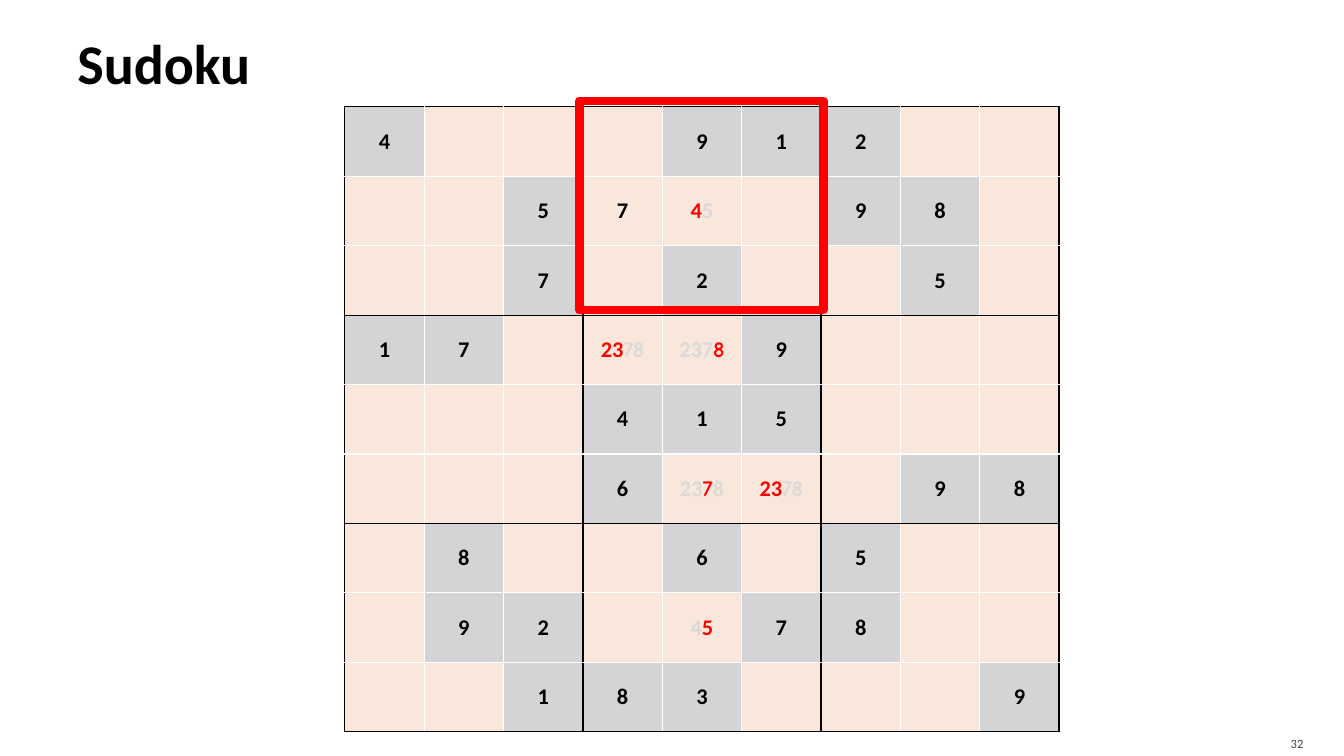
from dataclasses import dataclass

from lxml import etree
from pptx import Presentation
from pptx import util as u
from pptx.dml.color import RGBColor
from pptx.enum import shapes, text
from pptx.oxml.ns import qn

TITLE = "Sudoku"
PAGE_NUMBER = "32"

# Given digits, one line per row; a dot is an open cell.
GIVENS = [
    "4...912..",
    "..5...98.",
    "..7.2..5.",
    "17...9...",
    "...415...",
    "...6...98",
    ".8..6.5..",
    ".92..78..",
    "..183...9",
]

# Open cells by (row, column): runs of (digits, style in Theme.digits).
CANDIDATES = {
    (1, 3): [("7", "fixed")],
    (1, 4): [("4", "kept"), ("5", "ruled out")],
    (3, 3): [("23", "kept"), ("78", "ruled out later")],
    (3, 4): [("237", "ruled out"), ("8", "kept later")],
    (5, 4): [("23", "ruled out"), ("7", "kept later"), ("8", "ruled out later")],
    (5, 5): [("23", "kept"), ("78", "ruled out later")],
    (7, 4): [("4", "ruled out"), ("5", "kept")],
}


@dataclass(frozen=True)
class Theme:
    font = "Calibri"
    alternate_font = "Comic Neue"
    ink = "000000"
    page_ink = "454545"
    given_fill = "D4D4D6"
    open_fill = "FAE7DC"
    box_line = "000000"
    cell_line = "FFFFFF"
    highlight = "FF0000"
    faded = "D9D9D9"
    title_size = 40
    digit_size = 16
    page_size = 9
    grid_width = 1
    highlight_width = 6
    digits = {
        "fixed": (font, ink),
        "kept": (font, highlight),
        "ruled out": (font, faded),
        "kept later": (alternate_font, highlight),
        "ruled out later": (alternate_font, faded),
    }


THEME = Theme()
SIZE = 9
BOX = 3
CELL_WIDTH, CELL_HEIGHT = u.Cm(2), u.Cm(1.75)
GRID_LEFT, GRID_TOP = u.Cm(8.69), u.Cm(2.69)


def add_run(paragraph, words, size, color, font=THEME.font, bold=True):
    run = paragraph.add_run()
    run.text = words
    run.font.name = font
    run.font.size = u.Pt(size)
    run.font.bold = bold
    run.font.color.rgb = RGBColor.from_string(color)


def set_borders(cell, row, column):
    """Draw dark edges around each box and light edges inside it."""
    edges = {"a:lnL": column, "a:lnR": column + 1, "a:lnT": row, "a:lnB": row + 1}
    properties = cell._tc.get_or_add_tcPr()
    for order, (tag, position) in enumerate(edges.items()):
        color = THEME.cell_line if position % BOX else THEME.box_line
        border = etree.Element(qn(tag), w=str(u.Pt(THEME.grid_width)))
        fill = etree.SubElement(border, qn("a:solidFill"))
        etree.SubElement(fill, qn("a:srgbClr"), val=color)
        properties.insert(order, border)


def fill_cell(cell, row, column):
    given = GIVENS[row][column]
    is_given = given != "."
    cell.fill.solid()
    cell.fill.fore_color.rgb = RGBColor.from_string(
        THEME.given_fill if is_given else THEME.open_fill)
    set_borders(cell, row, column)
    cell.vertical_anchor = text.MSO_ANCHOR.MIDDLE
    digits = cell.text_frame.paragraphs[0]
    digits.alignment = text.PP_ALIGN.CENTER
    runs = [(given, "fixed")] if is_given else CANDIDATES.get((row, column), [])
    for words, style in runs:
        font, color = THEME.digits[style]
        add_run(digits, words, THEME.digit_size, color, font)


def add_title(slide):
    title = slide.shapes.title
    title.left, title.top = u.Cm(1.7), u.Cm(0.2)
    title.width, title.height = u.Cm(30.48), u.Cm(2.75)
    frame = title.text_frame
    frame.vertical_anchor = text.MSO_ANCHOR.MIDDLE
    frame.margin_left = u.Cm(0.25)
    heading = frame.paragraphs[0]
    heading.alignment = text.PP_ALIGN.LEFT
    add_run(heading, TITLE, THEME.title_size, THEME.ink)


def add_grid(slide):
    grid = slide.shapes.add_table(SIZE, SIZE, GRID_LEFT, GRID_TOP,
                                  CELL_WIDTH * SIZE, CELL_HEIGHT * SIZE).table
    grid.first_row = grid.horz_banding = False
    for row in range(SIZE):
        for column in range(SIZE):
            fill_cell(grid.cell(row, column), row, column)


def add_highlight(slide):
    """Frame the top middle box."""
    frame = slide.shapes.add_shape(shapes.MSO_SHAPE.RECTANGLE,
                                   u.Cm(14.6), u.Cm(2.54), u.Cm(6.15), u.Cm(5.28))
    frame.shadow.inherit = False
    frame.fill.background()
    frame.line.color.rgb = RGBColor.from_string(THEME.highlight)
    frame.line.width = u.Pt(THEME.highlight_width)


def add_page_number(slide):
    box = slide.shapes.add_textbox(u.Cm(30.38), u.Cm(18.29), u.Cm(2.72), u.Cm(0.76))
    frame = box.text_frame
    frame.word_wrap = True
    frame.vertical_anchor = text.MSO_ANCHOR.MIDDLE
    frame.margin_bottom = 0
    number = frame.paragraphs[0]
    number.alignment = text.PP_ALIGN.RIGHT
    add_run(number, PAGE_NUMBER, THEME.page_size, THEME.page_ink, bold=False)


def main():
    deck = Presentation()
    deck.slide_width, deck.slide_height = u.Cm(33.87), u.Cm(19.05)
    title_only = deck.slide_layouts[5]
    slide = deck.slides.add_slide(title_only)
    add_title(slide)
    add_page_number(slide)
    add_grid(slide)
    add_highlight(slide)
    deck.save("out.pptx")


if __name__ == "__main__":
    main()
